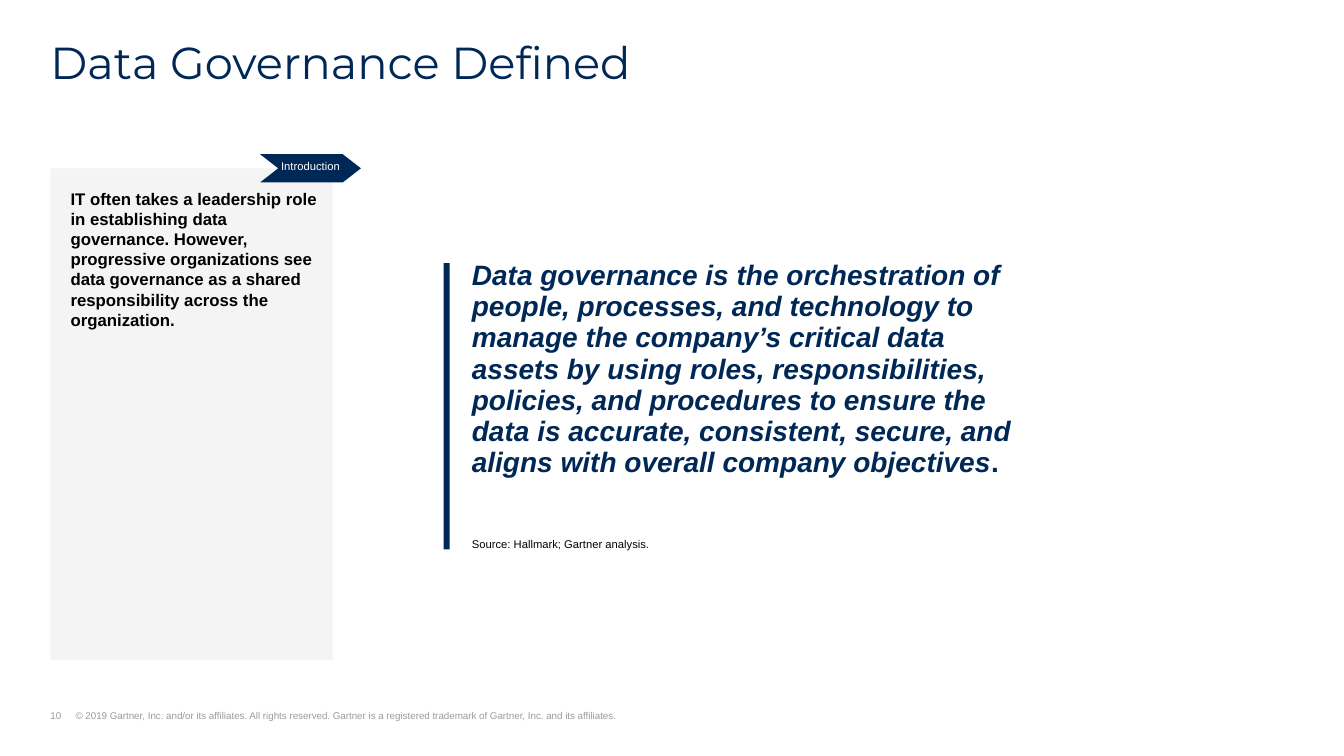
import dataclasses

import lxml.etree
import pptx
import pptx.dml.color
import pptx.enum.shapes
import pptx.enum.text
import pptx.oxml.ns
import pptx.util
from pptx.util import Inches


@dataclasses.dataclass(frozen=True)
class Theme:
    navy: str = "002856"
    black: str = "000000"
    white: str = "FFFFFF"
    panel: str = "F4F4F4"
    footer_grey: str = "979D9D"
    body_font: str = "Arial"
    title_font: str = "Montserrat"
    title_size: int = 32
    quote_size: int = 20
    body_size: int = 12
    small_size: int = 8
    footer_size: int = 7


THEME = Theme()
ANCHOR = pptx.enum.text.MSO_ANCHOR
ALIGN = pptx.enum.text.PP_ALIGN


def rgb(color):
    return pptx.dml.color.RGBColor.from_string(color)


def add_span(para, text, size, color, font=THEME.body_font, bold=False, italic=False):
    span = para.add_run()
    span.text = text
    span.font.name = font
    span.font.size = pptx.util.Pt(size)
    span.font.bold = bold
    span.font.italic = italic
    span.font.color.rgb = rgb(color)


def set_frame(frame, insets=(0, 0, 0, 0), anchor=ANCHOR.TOP):
    """Prepare a text frame and return its first paragraph."""
    frame.word_wrap = True
    frame.vertical_anchor = anchor
    frame.margin_left, frame.margin_top, frame.margin_right, frame.margin_bottom = map(Inches, insets)
    para = frame.paragraphs[0]
    para.alignment = ALIGN.LEFT
    return para


def add_text_box(page, left, top, width, height, anchor=ANCHOR.TOP):
    box = page.shapes.add_textbox(Inches(left), Inches(top), Inches(width), Inches(height))
    return set_frame(box.text_frame, anchor=anchor)


def paint(shape, color):
    shape.shadow.inherit = False
    shape.fill.solid()
    shape.fill.fore_color.rgb = rgb(color)
    shape.line.fill.background()


def add_block(page, left, top, width, height, color):
    block = page.shapes.add_shape(
        pptx.enum.shapes.MSO_SHAPE.RECTANGLE,
        Inches(left), Inches(top), Inches(width), Inches(height))
    paint(block, color)
    return block


def add_ribbon(page, left, top, width, height, notch, text):
    """Draw a chevron tag with a centred label."""
    right, middle, bottom = left + width, top + height / 2, top + height
    outline = [(right - notch, top), (right, middle), (right - notch, bottom),
               (left, bottom), (left + notch, middle), (left, top)]
    points = [(Inches(x), Inches(y)) for x, y in outline]
    builder = page.shapes.build_freeform(*points[0])
    builder.add_line_segments(points[1:], close=True)
    ribbon = builder.convert_to_shape()
    paint(ribbon, THEME.navy)
    para = set_frame(ribbon.text_frame, (0.1, 0.05, 0.1, 0.05))
    para.alignment = ALIGN.CENTER
    add_span(para, text, THEME.small_size, THEME.white)


def add_quote_table(page, left, top, width, height, quote):
    table = page.shapes.add_table(
        1, 1, Inches(left), Inches(top), Inches(width), Inches(height)).table
    table.first_row = False
    table.horz_banding = False
    cell = table.cell(0, 0)
    cell.fill.background()
    para = cell.text_frame.paragraphs[0]
    add_span(para, quote, THEME.quote_size, THEME.navy, bold=True, italic=True)
    add_span(para, ".", THEME.quote_size, THEME.navy, bold=True)


def add_footer(page, left, top, width, height, number, notice):
    para = add_text_box(page, left, top, width, height, ANCHOR.BOTTOM)
    indent = Inches(0.25)
    properties = para._p.get_or_add_pPr()
    properties.set("marL", str(indent))
    properties.set("indent", str(-indent))
    tabs = lxml.etree.SubElement(properties, pptx.oxml.ns.qn("a:tabLst"))
    lxml.etree.SubElement(tabs, pptx.oxml.ns.qn("a:tab"), pos=str(indent), algn="l")
    add_span(para, f"{number}\t{notice}", THEME.footer_size, THEME.footer_grey)


def main():
    deck = pptx.Presentation()
    deck.slide_width, deck.slide_height = Inches(13.33), Inches(7.5)
    page = deck.slides.add_slide(deck.slide_layouts[6])

    # Footer and title
    add_footer(page, 0.5, 7.04, 7.99, 0.12, 10,
               "© 2019 Gartner, Inc. and/or its affiliates. All rights reserved. "
               "Gartner is a registered trademark of Gartner, Inc. and its affiliates.")
    title = add_text_box(page, 0.5, 0.4, 12.33, 0.48)
    title.line_spacing = 0.9
    add_span(title, "Data Governance Defined", THEME.title_size, THEME.navy, THEME.title_font)

    # Side panel with its tag
    panel = add_block(page, 0.5, 1.67, 2.8, 4.88, THEME.panel)
    para = set_frame(panel.text_frame, (0.2, 0.2, 0.1, 0.2))
    add_span(para, "IT often takes a leadership role in establishing data governance. "
             "However, progressive organizations see data governance as a shared "
             "responsibility across the organization.",
             THEME.body_size, THEME.black, bold=True)
    add_ribbon(page, 2.58, 1.53, 1, 0.28, 0.18, "Introduction")

    # Definition with its accent bar and source
    add_block(page, 4.4, 2.61, 0.06, 2.84, THEME.navy)
    add_quote_table(page, 4.58, 2.53, 5.82, 2.43,
                    "Data governance is the orchestration of people, processes, and "
                    "technology to manage the company’s critical data assets by using "
                    "roles, responsibilities, policies, and procedures to ensure the data "
                    "is accurate, consistent, secure, and aligns with overall company "
                    "objectives")
    source = add_text_box(page, 4.68, 5.29, 5.21, 0.2)
    source.line_spacing = pptx.util.Pt(12.4)
    add_span(source, "Source: Hallmark; Gartner analysis.", THEME.small_size, THEME.black)

    deck.save("out.pptx")


if __name__ == "__main__":
    main()
